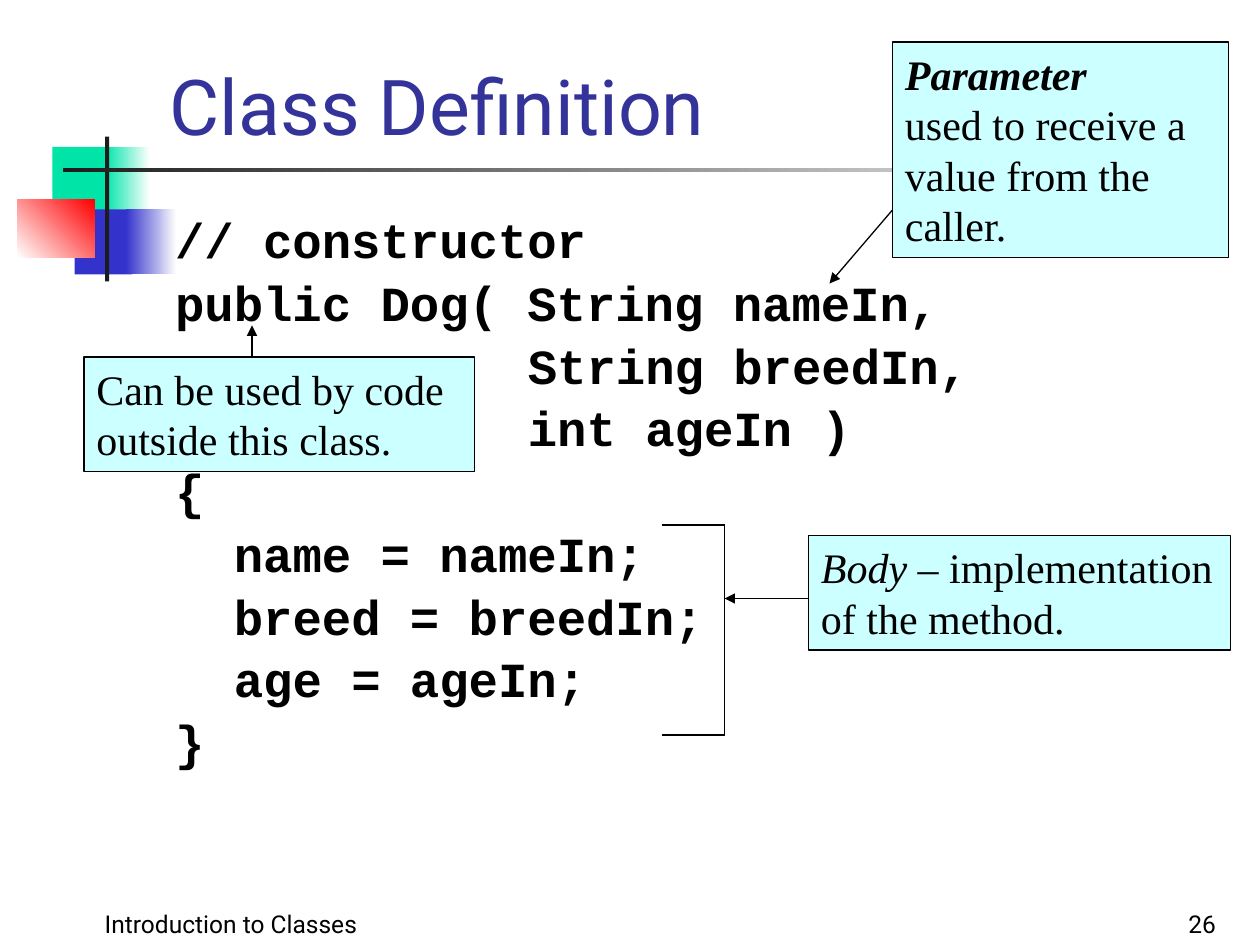
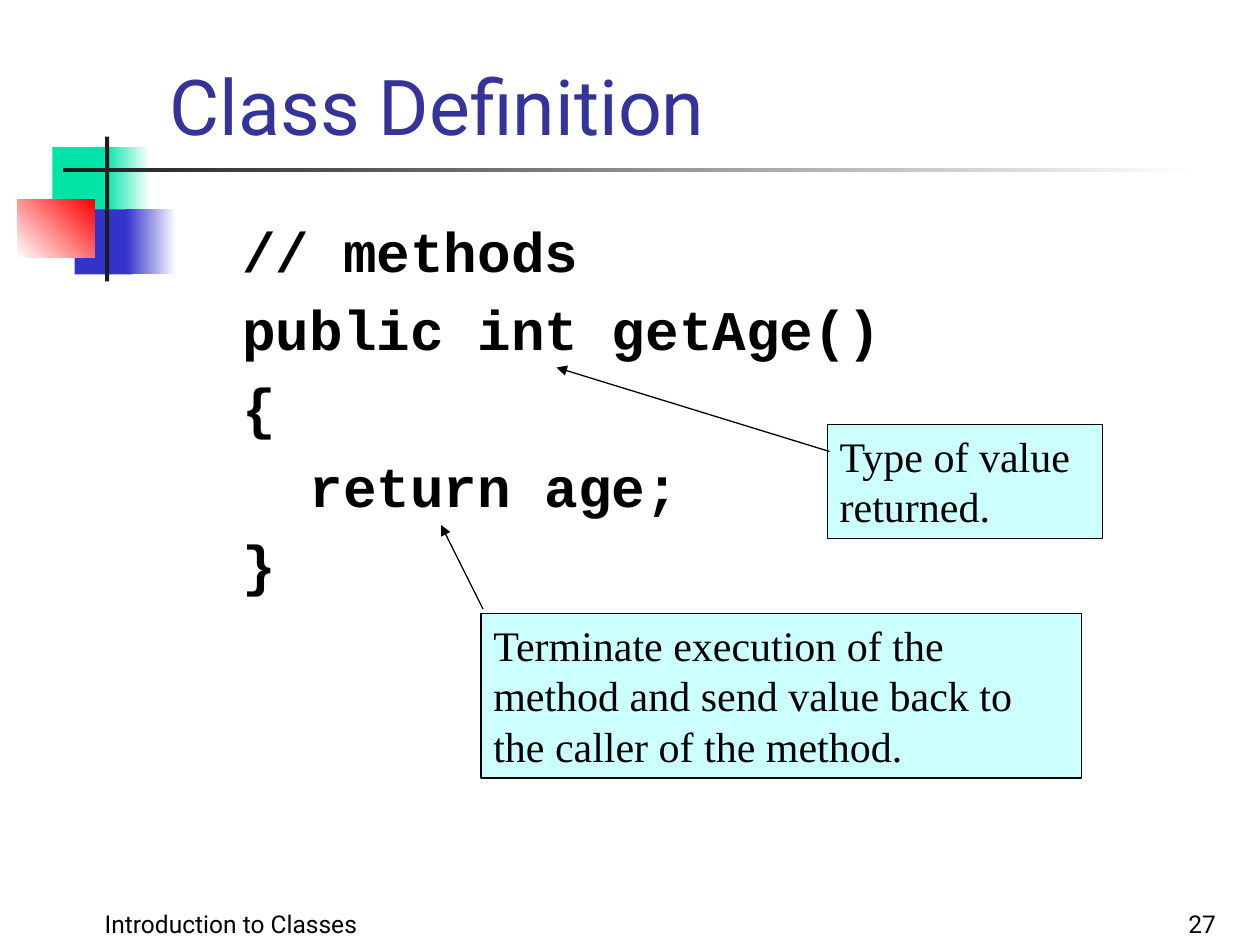
from dataclasses import dataclass
from lxml.etree import SubElement
from pptx import Presentation
from pptx.dml.color import RGBColor
from pptx.enum.shapes import MSO_CONNECTOR, MSO_SHAPE
from pptx.enum.text import MSO_ANCHOR, MSO_AUTO_SIZE, PP_ALIGN
from pptx.oxml.ns import qn
from pptx.util import Inches, Pt


@dataclass(frozen=True)
class Theme:
    black: str = "000000"
    white: str = "FFFFFF"
    title: str = "333399"
    green: str = "00E4A8"
    blue: str = "3333CC"
    red: str = "FF0000"
    rule: str = "1C1C1C"
    note: str = "CCFFFF"
    sans: str = "Roboto"
    serif: str = "Times New Roman"
    mono: str = "Courier New"
    title_size: int = 44
    note_size: int = 24
    footer_size: int = 14
    line_width: float = 0.75
    mono_advance: float = 0.6


class Deck:
    COLS, ROWS = 120, 90

    def __init__(self, theme):
        self.t = theme
        self.prs = Presentation()
        self.prs.slide_width, self.prs.slide_height = Inches(10), Inches(7.5)
        self.s = None

    def x(self, cols):
        return round(self.prs.slide_width * cols / self.COLS)

    def y(self, rows):
        return round(self.prs.slide_height * rows / self.ROWS)

    def place(self, left, top, width, height):
        return self.x(left), self.y(top), self.x(width), self.y(height)

    def rect(self, at, *colors, angle=0):
        sp = self.s.shapes.add_shape(MSO_SHAPE.RECTANGLE, *self.place(*at))
        sp.shadow.inherit = False
        sp.line.fill.background()
        if len(colors) == 1:
            sp.fill.solid()
            sp.fill.fore_color.rgb = RGBColor.from_string(colors[0])
        else:
            sp.fill.gradient()
            sp.fill.gradient_angle = angle
            for stop, color, position in zip(sp.fill.gradient_stops, colors, (0, 1)):
                stop.color.rgb = RGBColor.from_string(color)
                stop.position = position
        return sp

    def set_text(self, tf, paragraphs, font, align=PP_ALIGN.LEFT, color=None, **frame):
        frame = {"word_wrap": True, "vertical_anchor": MSO_ANCHOR.TOP, **frame}
        for name, value in frame.items():
            setattr(tf, name, value)
        for i, runs in enumerate(paragraphs):
            p = tf.paragraphs[0] if i == 0 else tf.add_paragraph()
            p.alignment = align
            for text, style in runs:
                r = p.add_run()
                r.text = text
                for name, value in {**font, **style}.items():
                    setattr(r.font, name, value)
                r.font.color.rgb = RGBColor.from_string(color or self.t.black)

    def text(self, at, paragraphs, font, **options):
        tf = self.s.shapes.add_textbox(*self.place(*at)).text_frame
        self.set_text(tf, paragraphs, font, **options)
        return tf

    def note(self, at, *paragraphs):
        sp = self.rect(at, self.t.note)
        sp.line.color.rgb = RGBColor.from_string(self.t.black)
        sp.line.width = Pt(self.t.line_width)
        self.set_text(sp.text_frame, paragraphs,
                      {"name": self.t.serif, "size": Pt(self.t.note_size)},
                      auto_size=MSO_AUTO_SIZE.SHAPE_TO_FIT_TEXT)

    def code(self, lines, size, line_spacing=1.0):
        font = {"name": self.t.mono, "size": Pt(size), "bold": True}
        tf = self.text((15.5, 20, 102, 60.5), [[(line, {})] for _, line in lines], font)
        for p, (indent, _) in zip(tf.paragraphs, lines):
            p.line_spacing = line_spacing
            pPr = p._p.get_or_add_pPr()
            pPr.set("marL", str(Pt(indent * size * self.t.mono_advance)))
            pPr.set("indent", "0")
            before = SubElement(pPr, qn("a:spcBef"))
            SubElement(before, qn("a:spcPct")).set("val", "20000")

    def line(self, start, end, arrow=False):
        (x1, y1), (x2, y2) = start, end
        c = self.s.shapes.add_connector(MSO_CONNECTOR.STRAIGHT, self.x(x1), self.y(y1),
                                        self.x(x2), self.y(y2))
        c.line.color.rgb = RGBColor.from_string(self.t.black)
        c.line.width = Pt(self.t.line_width)
        if arrow:
            SubElement(c.line._get_or_add_ln(), qn("a:tailEnd")).set("type", "triangle")
        SubElement(c._element.spPr, qn("a:effectLst"))

    def bracket(self, left, right, top, bottom):
        for row in (top, bottom):
            self.line((left, row), (right, row))
        self.line((right, top), (right, bottom))

    def slide(self, title, footer, number):
        t = self.t
        self.s = self.prs.slides.add_slide(self.prs.slide_layouts[6])
        self.rect((5, 14, 5.8, 6.2), t.green)
        self.rect((10, 14, 4.3, 6.2), t.green, t.white)
        self.rect((7.1, 19.95, 5.5, 6.2), t.blue)
        self.rect((12, 19.95, 4.8, 6.2), t.blue, t.white)
        self.rect((1.65, 19, 7.35, 5.5), t.white, t.red, angle=45)
        self.rect((10, 13, 0.4, 13.8), t.rule)
        self.rect((6, 16, 108, 0.4), t.rule, t.white)
        font = {"name": t.sans, "size": Pt(t.footer_size)}
        bottom = {"vertical_anchor": MSO_ANCHOR.BOTTOM}
        self.text((3, 84, 38, 6), [[(footer, {})]], font, align=PP_ALIGN.CENTER, **bottom)
        self.text((92, 84, 25, 6), [[(str(number), {})]], font, align=PP_ALIGN.RIGHT, **bottom)
        self.text((15, 0, 102.2, 15), [[(title, {})]],
                  {"name": t.sans, "size": Pt(t.title_size)}, color=t.title, **bottom)


def constructor_slide(deck):
    deck.code([(0, "// constructor"), (0, "public Dog( String nameIn,"),
               (12, "String breedIn,"), (12, "int ageIn )"), (0, "{"),
               (2, "name = nameIn;"), (2, "breed = breedIn;"), (2, "age = ageIn;"),
               (0, "}")], 28, 0.9)
    deck.note((8, 34, 37.2, 10.9), [("Can be used by code outside this class.", {})])
    deck.line((24, 34), (24, 31), arrow=True)
    deck.note((85, 4, 32, 20.5), [("Parameter", {"bold": True, "italic": True})],
              [("used to receive a value from the caller.", {})])
    deck.line((85, 20), (79, 27), arrow=True)
    deck.note((77, 51, 40.2, 10.9), [("Body ", {"italic": True}),
                                     ("– implementation of the method.", {})])
    deck.bracket(63, 69, 50, 70)
    deck.line((77, 57), (69, 57), arrow=True)


def method_slide(deck):
    deck.code([(2, "// methods"), (2, "public int getAge()"), (2, "{"),
               (4, "return age;"), (2, "}")], 32)
    deck.note((78.8, 40.4, 26.2, 10.9), [("Type of value returned.", {})])
    deck.line((79, 43), (53, 35), arrow=True)
    deck.note((45.8, 58.4, 57.2, 15.7),
              [("Terminate execution of the method and send value back to "
                "the caller of the method.", {})])
    deck.line((46, 58), (42, 50), arrow=True)


def main():
    deck = Deck(Theme())
    for number, build in enumerate((constructor_slide, method_slide), 26):
        deck.slide("Class Definition", "Introduction to Classes", number)
        build(deck)
    deck.prs.save("out.pptx")


if __name__ == "__main__":
    main()
